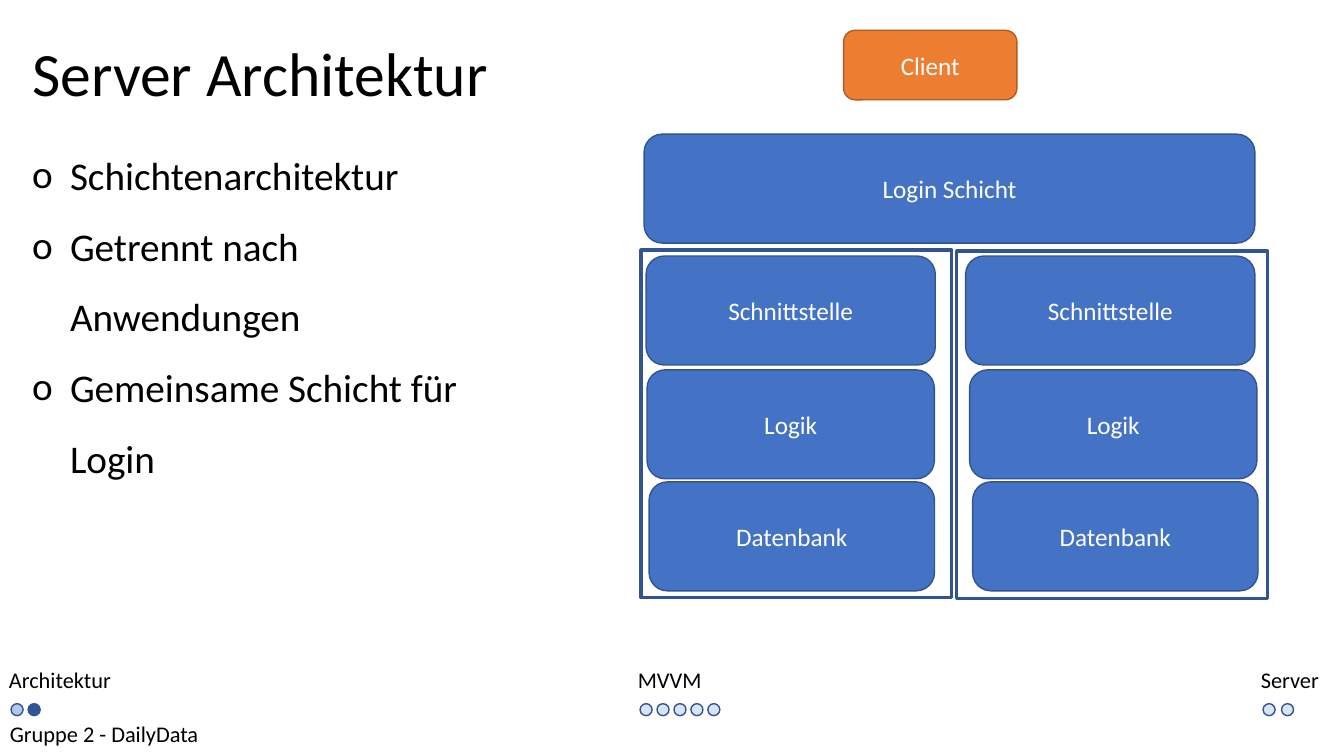
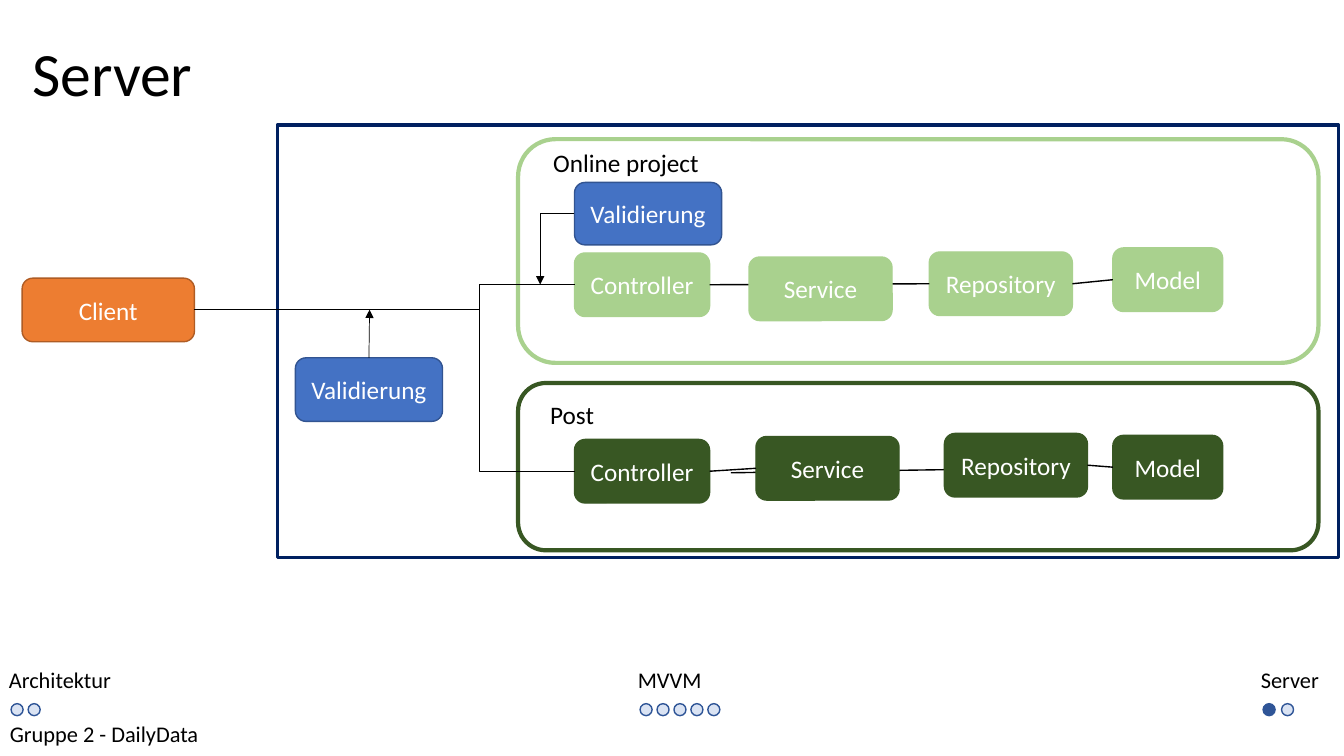
import pptx
import pptx.dml.color
import pptx.enum.shapes
import pptx.enum.text
import pptx.oxml.ns
import pptx.util

Pt = pptx.util.Pt
qn = pptx.oxml.ns.qn
SHAPE = pptx.enum.shapes.MSO_SHAPE
CONNECTOR = pptx.enum.shapes.MSO_CONNECTOR
ALIGN = pptx.enum.text.PP_ALIGN
ANCHOR = pptx.enum.text.MSO_ANCHOR
AUTO_SIZE = pptx.enum.text.MSO_AUTO_SIZE

# Shared style
COLORS = {
    "text": "000000", "light_text": "FFFFFF",
    "blue": "4472C4", "blue_edge": "325491",
    "orange": "ED7D31", "orange_edge": "AF5C24",
    "light_green": "A9D18E", "dark_green": "385723", "navy": "002060",
    "dot_edge": "2F5597", "dot_open": "DAE3F3",
    "dot_seen": "B4C7E7", "dot_current": "2F5597",
}
FONT = "Calibri"
TITLE_SIZE, LIST_SIZE, BLOCK_SIZE, FOOTER_SIZE = 44, 28, 18, 16
MARGIN = 15.8
LABEL_HEIGHT = 26.6

# Template layouts and connection sites of a rectangle
TITLE_AND_LIST, TITLE_ONLY = 1, 5
TOP, LEFT, RIGHT = 0, 1, 3

# Footer sections: name, label left, label width, first dot, dot step, dot count
SECTIONS = [
    ("Architektur", -0.7, 109.4, 7.9, 12.2, 2),
    ("MVVM", 448.6, 61.9, 457.2, 12.1, 5),
    ("Server", 893.5, 61.9, 902.2, 13.2, 2),
]
SECTION_TOP, DOT_TOP, GROUP_TOP = 472.3, 502.6, 511.2
DOT_SIZE = 8.6


def color(name):
    return pptx.dml.color.RGBColor.from_string(COLORS[name])


def add_xml(parent, tag, **attributes):
    parent.append(parent.makeelement(qn(tag), attributes))


class Deck:
    """Holds the presentation style and the slide being built."""

    def __init__(self):
        self.presentation = pptx.Presentation()
        self.presentation.slide_width = Pt(960)
        self.presentation.slide_height = Pt(540)
        self.slide = None

    def new_slide(self, title, layout, title_width, dots):
        slide_layout = self.presentation.slide_layouts[layout]
        self.slide = self.presentation.slides.add_slide(slide_layout)
        frame = self.fill_placeholder(
            self.slide.shapes.title, title, (MARGIN, 21.6, title_width, 66.2))
        frame.vertical_anchor = ANCHOR.MIDDLE
        frame.paragraphs[0].line_spacing = 0.9
        self.style(frame.paragraphs[0], TITLE_SIZE)
        self.footer(dots)

    def fill_placeholder(self, placeholder, text, box):
        (placeholder.left, placeholder.top,
         placeholder.width, placeholder.height) = map(Pt, box)
        placeholder.text_frame.text = text
        placeholder.text_frame.auto_size = AUTO_SIZE.NONE
        return placeholder.text_frame

    def style(self, paragraph, size, ink="text", align=ALIGN.LEFT):
        paragraph.alignment = align
        paragraph.font.name = FONT
        paragraph.font.size = Pt(size)
        paragraph.font.color.rgb = color(ink)

    def footer(self, dots):
        """Draw section labels and dots; dots maps (section, index) to a colour."""
        self.label("Gruppe 2 - DailyData", (0, GROUP_TOP), 249.8, FOOTER_SIZE)
        for section, left, width, first_dot, step, count in SECTIONS:
            self.label(section, (left, SECTION_TOP), width, FOOTER_SIZE)
            for index in range(count):
                box = (first_dot + index * step, DOT_TOP, DOT_SIZE, DOT_SIZE)
                fill = dots.get((section, index), "dot_open")
                self.shape(SHAPE.OVAL, box, fill, "dot_edge")

    def bullets(self, items, box):
        frame = self.fill_placeholder(self.slide.placeholders[1], "\n".join(items), box)
        for paragraph in frame.paragraphs:
            paragraph.line_spacing = 1.5
            paragraph.space_before = Pt(0)
            properties = paragraph._p.get_or_add_pPr()
            properties.set("marL", str(Pt(27)))
            properties.set("indent", str(-Pt(27)))
            add_xml(properties, "a:buFont", typeface=FONT)
            add_xml(properties, "a:buChar", char="o")
            self.style(paragraph, LIST_SIZE)

    def label(self, text, position, width, size=BLOCK_SIZE):
        box = (*position, width, LABEL_HEIGHT)
        frame = self.slide.shapes.add_textbox(*map(Pt, box)).text_frame
        frame.word_wrap = True
        frame.text = text
        self.style(frame.paragraphs[0], size)

    def shape(self, kind, box, fill, edge, weight=1):
        shape = self.slide.shapes.add_shape(kind, *map(Pt, box))
        shape.shadow.inherit = False
        if fill:
            shape.fill.solid()
            shape.fill.fore_color.rgb = color(fill)
        else:
            shape.fill.background()
        shape.line.color.rgb = color(edge)
        shape.line.width = Pt(weight)
        return shape

    def outline(self, kind, box, edge, weight):
        self.shape(kind, box, None, edge, weight)

    def block(self, text, box, fill="blue", edge="blue_edge"):
        block = self.shape(SHAPE.ROUNDED_RECTANGLE, box, fill, edge)
        block.text_frame.text = text
        block.text_frame.vertical_anchor = ANCHOR.MIDDLE
        self.style(block.text_frame.paragraphs[0], BLOCK_SIZE, "light_text", ALIGN.CENTER)
        return block

    def wire(self, start, end, kind=CONNECTOR.STRAIGHT, arrow=False):
        """Draw a plain line, or a thinner one that ends in an arrowhead."""
        wire = self.slide.shapes.add_connector(kind, *map(Pt, (*start, *end)))
        wire.line.color.rgb = color("text")
        wire.line.width = Pt(0.5 if arrow else 1)
        if arrow:
            add_xml(wire.line._ln, "a:tailEnd", type="triangle")
        add_xml(wire._element.spPr, "a:effectLst")
        return wire

    def step(self, start, end, bend):
        """Draw a wire with two corners at a share of its width."""
        geometry = self.wire(start, end, CONNECTOR.ELBOW)._element.spPr.find(qn("a:prstGeom"))
        add_xml(geometry.find(qn("a:avLst")), "a:gd",
                name="adj1", fmla=f"val {round(bend * 100000)}")

    def corner_arrow(self, start, end):
        """Draw an arrow that runs sideways, then turns once."""
        arrow = self.wire(start, end, CONNECTOR.ELBOW, arrow=True)
        arrow._element.spPr.find(qn("a:prstGeom")).set("prst", "bentConnector2")

    def join(self, first, second):
        wire = self.wire((0, 0), (0, 0))
        wire.begin_connect(first, RIGHT)
        wire.end_connect(second, LEFT)


def architecture_slide(deck):
    deck.new_slide("Server Architektur", TITLE_AND_LIST, 865.4,
                   {("Architektur", 0): "dot_seen", ("Architektur", 1): "dot_current"})
    deck.bullets(["Schichtenarchitektur", "Getrennt nach Anwendungen",
                  "Gemeinsame Schicht für Login"], (MARGIN, 87.8, 367.9, 256.3))

    # Client and the layer shared by both applications
    layer_height = 77.8
    deck.block("Client", (602.6, 21.6, 123.8, 49.7), "orange", "orange_edge")
    deck.block("Login Schicht", (460.1, 95.8, 436.3, layer_height))

    # Layers of both applications: name, left in each application, top, width
    layers = [
        ("Schnittstelle", (461.5, 689.8), 182.9, 206.6),
        ("Logik", (462.2, 692.6), 264.2, 205.2),
        ("Datenbank", (463.7, 694.8), 344.2, 203.8),
    ]
    for layer, lefts, top, width in layers:
        for left in lefts:
            deck.block(layer, (left, top, width, layer_height))

    # Application boundaries
    for left, top in ((457.9, 178.6), (683.3, 179.3)):
        deck.outline(SHAPE.RECTANGLE, (left, top, 221.8, 248.4), "blue_edge", 2.25)


BLOCK_HEIGHT = 45.4
# Part widths, in drawing order: the service covers lines that run behind it
PART_WIDTHS = {"Controller": 96.5, "Repository": 102.2, "Model": 78.5, "Service": 102.2}

APPLICATIONS = [
    {
        "name": "Post", "tint": "dark_green",
        "label_at": (385.9, 281.5), "label_width": 60,
        "frame_top": 273.6, "frame_height": 119.5,
        "parts_at": {"Controller": (410.4, 313.9), "Service": (540, 311.8),
                     "Repository": (674.6, 309.6), "Model": (794.9, 311)},
        "links": [("Controller", "Service"), ("Repository", "Model")],
    },
    {
        "name": "Online project", "tint": "light_green",
        "label_at": (388.1, 101.5), "label_width": 126,
        "frame_top": 99.4, "frame_height": 159.8,
        "parts_at": {"Controller": (410.4, 180.7), "Service": (535, 183.6),
                     "Repository": (663.8, 180), "Model": (794.9, 177.1)},
        "links": [("Controller", "Repository"), ("Repository", "Model")],
    },
]


def draw_application(deck, app):
    """Draw the frame, label, parts and links of one application."""
    tint = app["tint"]
    frame_box = (370.1, app["frame_top"], 571.7, app["frame_height"])
    deck.outline(SHAPE.ROUNDED_RECTANGLE, frame_box, tint, 3)
    deck.label(app["name"], app["label_at"], app["label_width"])

    parts = {}
    waiting = list(app["links"])
    for part, width in PART_WIDTHS.items():
        box = (*app["parts_at"][part], width, BLOCK_HEIGHT)
        parts[part] = deck.block(part, box, tint, tint)
        # Link two parts as soon as both exist
        for link in [link for link in waiting if set(link) <= set(parts)]:
            deck.join(*(parts[end] for end in link))
            waiting.remove(link)


def server_slide(deck):
    deck.new_slide("Server", TITLE_ONLY, 489.6, {("Server", 0): "dot_current"})

    # Server boundary, client and the check of every request
    check_width = 105.1
    deck.outline(SHAPE.RECTANGLE, (198, 89.3, 758.2, 308.9), "navy", 2.25)
    deck.block("Client", (MARGIN, 198.7, 123.1, BLOCK_HEIGHT), "orange", "orange_edge")
    request_check = deck.block("Validierung", (211, 255.6, check_width, BLOCK_HEIGHT))

    # Post line to the repository, running behind the service
    deck.wire((522, 337.7), (674.6, 335.5))
    for app in APPLICATIONS:
        draw_application(deck, app)

    # Requests from the client to both controllers
    request_y, controller_left = 221.2, 410.4
    post_y, project_y = 337, 203.2
    for controller_y in (post_y, project_y):
        deck.step((138.9, request_y), (controller_left, controller_y), 0.75)

    # Checks acting on the requests
    request_arrow = deck.wire((263.5, 255.6), (264, request_y), arrow=True)
    request_arrow.begin_connect(request_check, TOP)
    deck.block("Validierung", (controller_left, 130.3, check_width, 44.6))
    deck.corner_arrow((controller_left, 152.6), (385.9, project_y))


def main():
    deck = Deck()
    architecture_slide(deck)
    server_slide(deck)
    deck.presentation.save("out.pptx")


if __name__ == "__main__":
    main()
